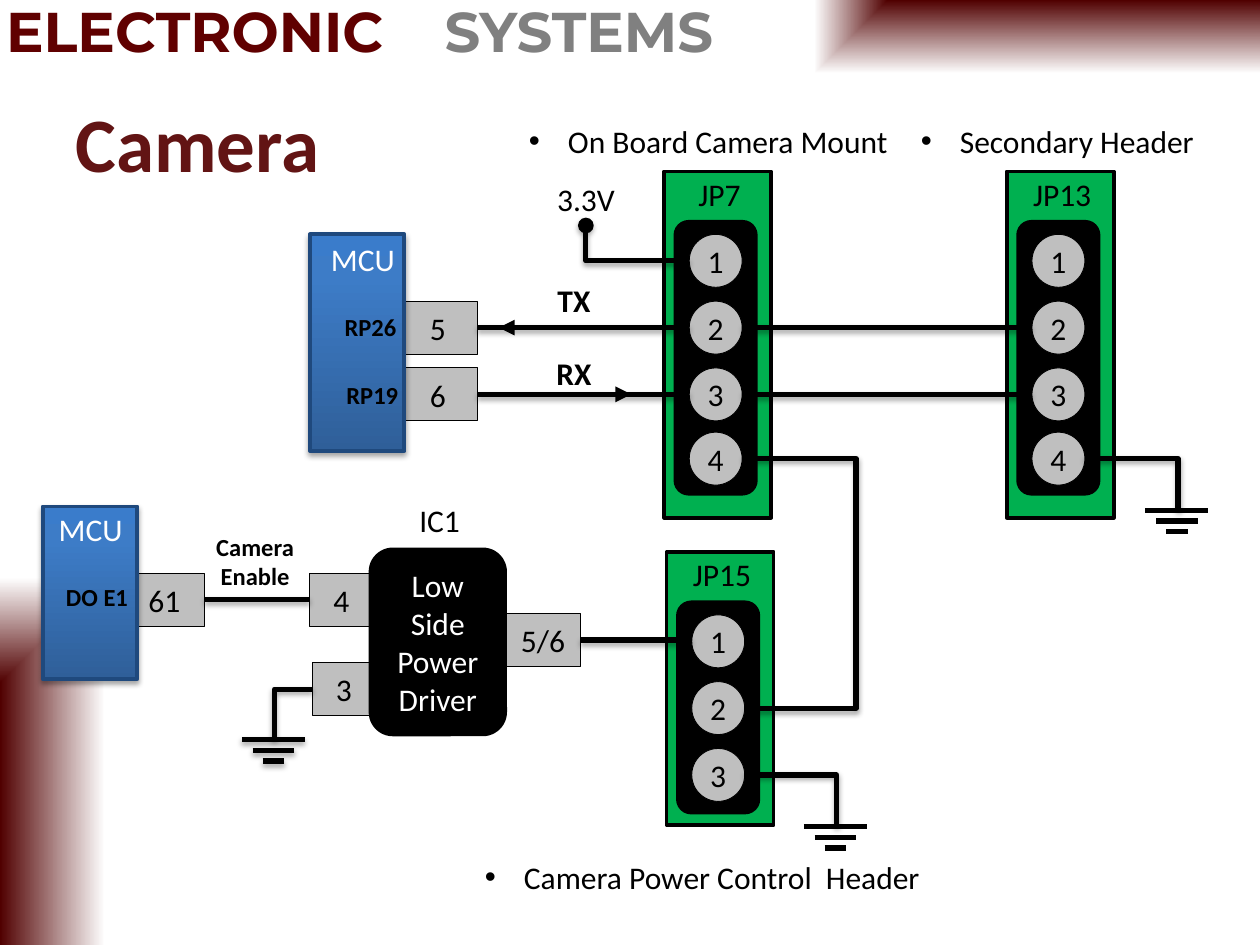
from lxml.etree import SubElement
from pptx import Presentation
from pptx.dml.color import RGBColor
from pptx.enum.shapes import MSO_CONNECTOR, MSO_SHAPE
from pptx.enum.text import MSO_ANCHOR, MSO_AUTO_SIZE, PP_ALIGN
from pptx.oxml import parse_xml
from pptx.oxml.ns import nsdecls, qn
from pptx.util import Inches, Pt

COLUMNS, ROWS = 100, 75
MAROON = RGBColor(0x50, 0x00, 0x00)
BANNER_RED = RGBColor(0x60, 0x00, 0x00)
TITLE_RED = RGBColor(0x62, 0x14, 0x14)
GREY = RGBColor(0x80, 0x80, 0x80)
SILVER = RGBColor(0xBF, 0xBF, 0xBF)
BLACK = RGBColor(0x00, 0x00, 0x00)
WHITE = RGBColor(0xFF, 0xFF, 0xFF)
GREEN = RGBColor(0x00, 0xB0, 0x50)
NAVY = RGBColor(0x1F, 0x49, 0x7D)
CHIP_STOPS = ((0, RGBColor(0x2F, 0x5F, 0x99)), (80, RGBColor(0x3D, 0x7C, 0xC7)),
              (100, RGBColor(0x3A, 0x7C, 0xCB)))
FADE_STOPS = ((0, MAROON), (100, WHITE))
CHIP_COURSE = '<a:lin ang="16200000" scaled="0"/>'
FADE_COURSE = '<a:path path="rect"><a:fillToRect {}/></a:path>'
LEFT, RIGHT = 1, 3


def write(frame, text, size=18, color=BLACK, bold=False, font="Calibri",
          align=PP_ALIGN.CENTER, bullet=False):
    for number, line in enumerate(text.split("\n")):
        paragraph = frame.add_paragraph() if number else frame.paragraphs[0]
        paragraph.alignment = align
        if bullet:
            properties = paragraph._p.get_or_add_pPr()
            properties.set("marL", str(Inches(0.31)))
            properties.set("indent", str(-Inches(0.31)))
            SubElement(properties, qn("a:buFont"), typeface="Arial")
            SubElement(properties, qn("a:buChar"), char="•")
        run = paragraph.add_run()
        run.text = line
        run.font.size = Pt(size)
        run.font.bold = bold
        run.font.name = font
        run.font.color.rgb = color


class Schematic:
    wire_width = 3

    def __init__(self, deck):
        self.slide = deck.slides.add_slide(deck.slide_layouts[6])
        self.column = deck.slide_width / COLUMNS
        self.row = deck.slide_height / ROWS

    def place(self, x, y):
        return round(x * self.column), round(y * self.row)

    def label(self, text, x, y, w, h=4, anchor=MSO_ANCHOR.TOP, **style):
        box = self.slide.shapes.add_textbox(*self.place(x, y), *self.place(w, h))
        frame = box.text_frame
        frame.word_wrap = True
        frame.auto_size = MSO_AUTO_SIZE.SHAPE_TO_FIT_TEXT if anchor == MSO_ANCHOR.TOP else MSO_AUTO_SIZE.NONE
        frame.vertical_anchor = anchor
        write(frame, text, **style)

    def bullet(self, text, x, y, w):
        self.label(text, x, y, w, align=PP_ALIGN.LEFT, bullet=True)

    def block(self, x, y, w, h, fill, line=BLACK, weight=0.5, kind=MSO_SHAPE.RECTANGLE, text="", **style):
        shape = self.slide.shapes.add_shape(kind, *self.place(x, y), *self.place(w, h))
        shape.shadow.inherit = False
        shape.fill.solid()
        shape.fill.fore_color.rgb = fill
        if line is None:
            shape.line.fill.background()
        else:
            shape.line.color.rgb = line
            shape.line.width = Pt(weight)
        if text:
            frame = shape.text_frame
            frame.margin_left = frame.margin_right = 0
            frame.vertical_anchor = MSO_ANCHOR.MIDDLE
            write(frame, text, **style)
        return shape

    def blend(self, shape, stops, course):
        marks = "".join(f'<a:gs pos="{pos * 1000}"><a:srgbClr val="{color}"/></a:gs>' for pos, color in stops)
        gradient = parse_xml(f'<a:gradFill {nsdecls("a")} rotWithShape="1">'
                             f'<a:gsLst>{marks}</a:gsLst>{course}</a:gradFill>')
        properties = shape._element.spPr
        properties.replace(properties.find(qn("a:solidFill")), gradient)

    def cast_shadow(self, effects):
        shade = SubElement(effects, qn("a:outerShdw"), blurRad=str(Pt(3.1)), dist=str(Pt(1.8)),
                           dir="5400000", rotWithShape="0")
        SubElement(SubElement(shade, qn("a:srgbClr"), val="000000"), qn("a:alpha"), val="35000")

    def fade(self, x, y, w, h, focus):
        self.blend(self.block(x, y, w, h, MAROON, None), FADE_STOPS, FADE_COURSE.format(focus))

    def chip(self, x, y, h):
        chip = self.block(x, y, 7.5, h, NAVY, NAVY, 2.25)
        self.blend(chip, CHIP_STOPS, CHIP_COURSE)
        self.cast_shadow(chip._element.spPr.find(qn("a:effectLst")))

    def terminal(self, text, x, y, w):
        return self.block(x, y, w, 4.2, SILVER, text=text)

    def header(self, name, x, y, h, pin_rows):
        self.block(x, y, 8.5, h, GREEN, weight=2)
        self.block(x + 0.9, y + 4, 6.4, 4.9 * len(pin_rows) + 2, BLACK, weight=2, kind=MSO_SHAPE.ROUNDED_RECTANGLE)
        for number, pin_row in enumerate(pin_rows, 1):
            self.block(x + 2, y + pin_row, 4.2, 4.2, SILVER, kind=MSO_SHAPE.OVAL, text=str(number))
        self.label(name, x + 0.2, y - 0.2, 8.4)

    def wire(self, start, end, head=None, shadow=True, kind=MSO_CONNECTOR.STRAIGHT, source=None, target=None):
        wire = self.slide.shapes.add_connector(kind, *self.place(*start), *self.place(*end))
        if source is not None:
            wire.begin_connect(source, RIGHT)
        if target is not None:
            wire.end_connect(target, LEFT)
        wire.line.color.rgb = BLACK
        wire.line.width = Pt(self.wire_width)
        if head:
            SubElement(wire.line._ln, qn("a:tailEnd"), type=head)
        effects = SubElement(wire._element.spPr, qn("a:effectLst"))
        if shadow:
            self.cast_shadow(effects)
        return wire

    def corner(self, start, end, head=None):
        wire = self.wire(start, end, head, kind=MSO_CONNECTOR.ELBOW)
        wire._element.spPr.find(qn("a:prstGeom")).set("prst", "bentConnector2")

    def detour(self, start, end, turn):
        wire = self.wire(start, end, kind=MSO_CONNECTOR.ELBOW)
        share = (turn - start[0]) / (end[0] - start[0])
        guides = wire._element.spPr.find(qn("a:prstGeom")).get_or_add_avLst()
        SubElement(guides, qn("a:gd"), name="adj1", fmla=f"val {round(share * 100000)}")

    def ground(self, start, x, y, shadow=False):
        for step, width in enumerate((5, 3.3, 1.7)):
            level = y + 0.85 * step
            self.wire((x - width / 2, level), (x + width / 2, level), shadow=shadow)
        self.corner(start, (x + 0.1, y))


def main():
    deck = Presentation()
    deck.slide_width, deck.slide_height = Inches(10), Inches(7.5)
    board = Schematic(deck)

    board.fade(29.2, 0, 70.8, 11.7, 'l="100000" b="100000"')
    board.fade(0, 16.7, 16.7, 58.3, 't="100000" r="100000"')
    for word, x, w, color in (("ELECTRONIC", -0.5, 34, BANNER_RED), ("SYSTEMS", 34.3, 29, GREY)):
        board.label(word, x, -0.8, w, 6.4, size=32, color=color, bold=True, font="Montserrat", align=PP_ALIGN.LEFT)
    board.label("Camera", 5, 5, 90, 12.5, anchor=MSO_ANCHOR.MIDDLE, size=44, color=TITLE_RED,
                bold=True, align=PP_ALIGN.LEFT)

    four_pins = (5, 10.3, 15.6, 20.7)
    board.header("JP7", 52.7, 13.6, 27.5, four_pins)
    board.header("JP13", 79.9, 13.6, 27.5, four_pins)
    board.header("JP15", 52.9, 43.8, 21.7, four_pins[:3])

    receive = board.terminal("6", 31.6, 29.2, 6.3)
    transmit = board.terminal("5", 31.6, 23.9, 6.3)
    enable = board.terminal("61", 9.9, 45.5, 6.3)
    driver_input = board.terminal("4", 24.6, 45.5, 5)
    driver_output = board.terminal("5/6", 40.1, 48.7, 6)
    board.terminal("3", 24.8, 52.6, 5)
    board.chip(24.6, 18.6, 17.2)
    board.chip(3.4, 40.2, 13.7)
    board.block(29.4, 43.6, 10.7, 14.7, BLACK, weight=2, kind=MSO_SHAPE.ROUNDED_RECTANGLE,
                text="Low\nSide\nPower\nDriver", color=WHITE)

    board.wire((16.2, 47.6), (24.6, 47.6), source=enable, target=driver_input)
    board.wire((46.1, 50.8), (54.9, 50.8), source=driver_output)
    for terminal, y in ((transmit, 26), (receive, 31.3)):
        board.wire((37.9, y), (54.7, y), source=terminal)
        board.wire((58.9, y), (81.9, y))
    board.wire((43.7, 26), (39.6, 26), "triangle", shadow=False)
    board.wire((46.5, 31.3), (50.1, 31.3), "triangle", shadow=False)
    board.corner((54.7, 20.7), (46.5, 17.9), "oval")
    board.detour((58.9, 36.4), (59.1, 56.2), 67.9)
    board.ground((59.1, 61.5), 66.3, 65.6)
    board.ground((86.1, 36.4), 93.4, 40.5)
    board.ground((24.8, 54.7), 21.7, 58.7, shadow=True)

    board.bullet("On Board Camera Mount", 41, 9.2, 31.6)
    board.bullet("Secondary Header", 72.1, 9.2, 24.6)
    board.bullet("Camera Power Control  Header", 37.5, 67.6, 38.5)
    board.label("3.3V", 42.4, 13.8, 8.2)
    board.label("IC1", 28.6, 39.3, 12.6)
    board.label("TX", 34.3, 21.8, 22.5, bold=True)
    board.label("RX", 34.3, 27.6, 22.5, bold=True)
    for x, y in ((24, 18.6), (2.4, 40)):
        board.label("MCU", x, y, 9.6, color=WHITE)
    for name, x, y, w in (("RP26", 25.8, 24.3, 7.2), ("RP19", 25.8, 29.7, 7.5),
                          ("DO E1", 3.4, 45.7, 8.6), ("Camera\nEnable", 15.9, 41.7, 8.7)):
        board.label(name, x, y, w, 3.4, size=14, bold=True)

    deck.save("out.pptx")


if __name__ == "__main__":
    main()
